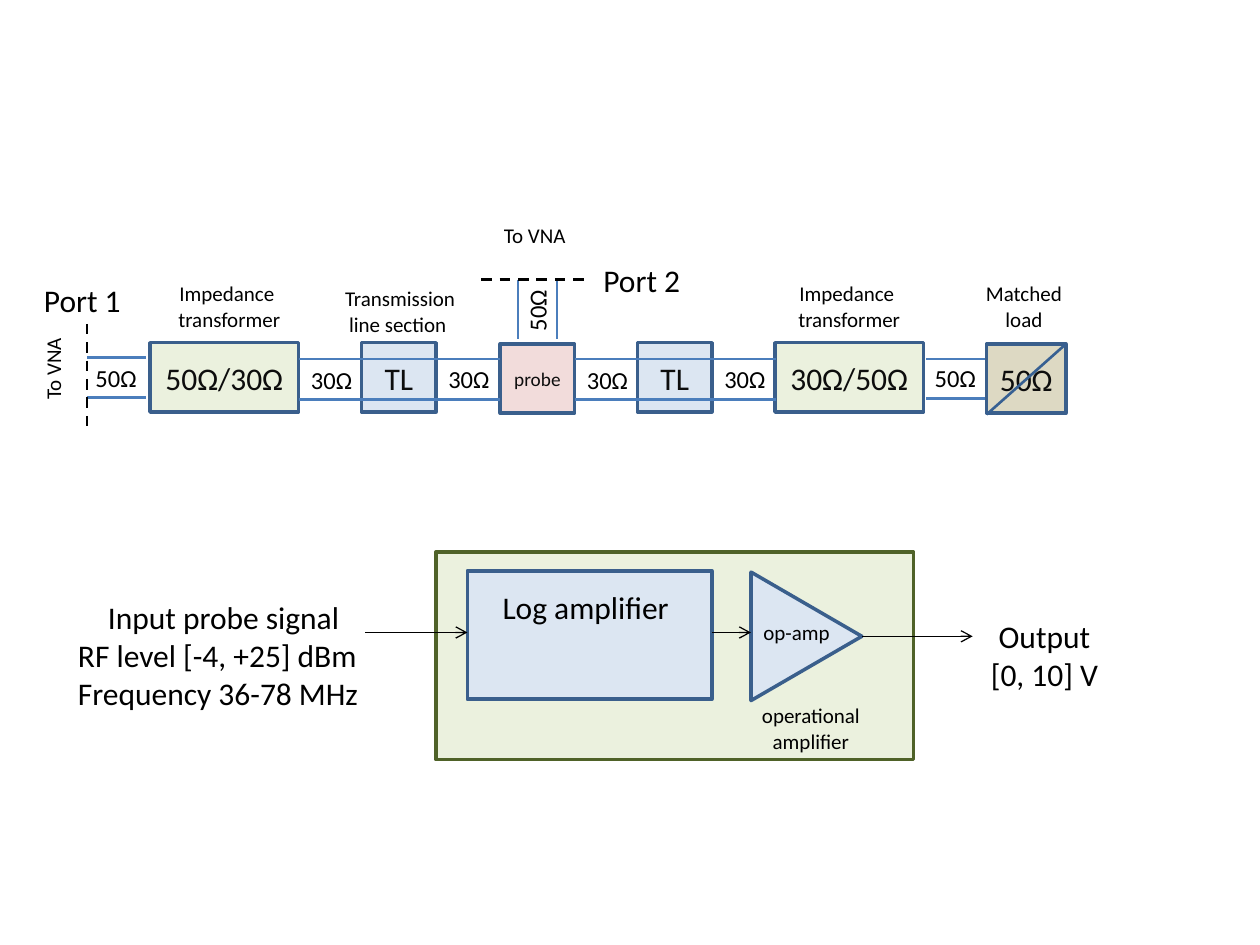
from copy import deepcopy

from pptx import Presentation
from pptx.dml.color import RGBColor
from pptx.enum.dml import MSO_LINE
from pptx.enum.shapes import MSO_CONNECTOR, MSO_SHAPE
from pptx.enum.text import MSO_ANCHOR, MSO_AUTO_SIZE, PP_ALIGN
from pptx.oxml.ns import qn
from pptx.util import Inches, Pt
from lxml.etree import SubElement

BLACK = RGBColor(0x00, 0x00, 0x00)
INK = RGBColor(0x0D, 0x0D, 0x0D)
GREEN = RGBColor(0xEB, 0xF1, 0xDE)
DARK_GREEN = RGBColor(0x4F, 0x62, 0x28)
BLUE = RGBColor(0xDC, 0xE6, 0xF2)
EDGE = RGBColor(0x3A, 0x5F, 0x8C)
WIRE = RGBColor(0x4B, 0x7E, 0xBC)
SLASH = RGBColor(0x37, 0x60, 0x92)
TAN = RGBColor(0xDD, 0xD9, 0xC3)
PINK = RGBColor(0xF2, 0xDC, 0xDB)

LEFT, CENTER = PP_ALIGN.LEFT, PP_ALIGN.CENTER
BOX_TOP, BOX_H = 2.72, 0.55
BOX_FRAME = {"vertical_anchor": MSO_ANCHOR.MIDDLE, "word_wrap": True}
LABEL_FRAME = {"auto_size": MSO_AUTO_SIZE.SHAPE_TO_FIT_TEXT, "word_wrap": False}


def set_all(obj, values):
    """Set every attribute named in values on obj."""
    for name, value in values.items():
        setattr(obj, name, value)


def write(tf, text, size, color, frame, aligns):
    """Fill a text frame; \\n parts paragraphs and \\v breaks a line."""
    set_all(tf, frame)
    for i, line in enumerate(text.split("\n")):
        p = tf.paragraphs[0] if i == 0 else tf.add_paragraph()
        p.text = line
        p.alignment = aligns[min(i, len(aligns) - 1)]
        for r in p.runs:
            set_all(r.font, {"name": "Calibri", "size": Pt(size)})
            r.font.color.rgb = color
        for br in p._p.findall(qn("a:br")):
            br.append(deepcopy(p.runs[0]._r.rPr))


def add_box(s, x, y, w, h, fill, text="", size=18, edge=EDGE,
            kind=MSO_SHAPE.RECTANGLE, rotation=0):
    """Add a filled, outlined shape with optional centred text."""
    sp = s.shapes.add_shape(kind, Inches(x), Inches(y), Inches(w), Inches(h))
    sp.shadow.inherit = False
    sp.rotation = rotation
    sp.fill.solid()
    sp.fill.fore_color.rgb = fill
    sp.line.color.rgb = edge
    sp.line.width = Pt(2)
    if text:
        write(sp.text_frame, text, size, INK, BOX_FRAME, [CENTER])


def add_label(s, x, y, w, h, text, size=12, aligns=(LEFT,), rotation=0):
    """Add an unwrapped text box."""
    sp = s.shapes.add_textbox(Inches(x), Inches(y), Inches(w), Inches(h))
    sp.rotation = rotation
    write(sp.text_frame, text, size, BLACK, LABEL_FRAME, aligns)


def add_line(s, x1, y1, x2, y2, color=WIRE, width=1.5, dash=None, arrow=False):
    """Add a straight line, dashed or with an arrowhead if asked."""
    sp = s.shapes.add_connector(MSO_CONNECTOR.STRAIGHT, Inches(x1), Inches(y1),
                                Inches(x2), Inches(y2))
    sp.line.color.rgb = color
    set_all(sp.line, {"width": Pt(width), "dash_style": dash})
    if arrow:
        SubElement(sp.line._get_or_add_ln(), qn("a:tailEnd"), type="arrow")
    SubElement(sp._element.spPr, qn("a:effectLst"))


def add_ohms(s, x, y, text, rotation=0):
    """Add an impedance label."""
    add_label(s, x, y, 0.53, 0.34, text, 14, rotation=rotation)


def add_stub(s, x, y):
    """Add a short horizontal 50 ohm line pair."""
    for dy in (0, 0.315):
        add_line(s, x, y + dy, x + 0.47, y + dy)
    add_ohms(s, x - 0.03, 2.83, "50Ω")


def add_tl_section(s, x):
    """Add a transmission line section with its 30 ohm line pairs."""
    add_ohms(s, x + 1.09, 2.84, "30Ω")
    add_box(s, x + 0.5, BOX_TOP, 0.59, BOX_H, BLUE, "TL")
    for y in (2.85, 3.17):
        add_line(s, x, y, x + 1.6, y)
    add_ohms(s, x, 2.85, "30Ω")


def add_measurement_chain(s):
    """Draw the upper chain from port 1 to the matched load."""
    for x, text in ((1.19, "50Ω/30Ω"), (6.15, "30Ω/50Ω")):
        add_box(s, x, BOX_TOP, 1.18, BOX_H, GREEN, text)
    add_box(s, 7.83, 2.73, 0.63, BOX_H, TAN, "50Ω")
    add_line(s, 8.46, 2.73, 7.83, 3.29, SLASH)
    add_stub(s, 7.35, 2.85)
    add_stub(s, 0.69, 2.84)
    add_box(s, 3.97, 2.73, 0.59, BOX_H, PINK, "probe", 11)
    for x in (4.11, 4.42):
        add_line(s, x, 2.69, x, 2.22)
    add_ohms(s, 4, 2.29, "50Ω", 270)
    add_line(s, 3.82, 2.22, 4.69, 2.22, BLACK, dash=MSO_LINE.DASH)
    add_line(s, 0.69, 2.57, 0.69, 3.44, BLACK, dash=MSO_LINE.DASH)
    for x, y, text in ((0.25, 2.18, "Port 1"), (4.69, 2.02, "Port 2")):
        add_label(s, x, y, 0.82, 0.4, text, 18)
    for x in (2.37, 4.56):
        add_tl_section(s, x)
    for x, y, w, text in ((1.31, 2.18, 1.02, "Impedance \vtransformer"),
                          (6.23, 2.18, 1.02, "Impedance \vtransformer"),
                          (7.72, 2.18, 0.85, "Matched \vload "),
                          (2.63, 2.22, 1.09, "Transmission\vline section ")):
        add_label(s, x, y, w, 0.5, text, aligns=[CENTER])
    for x, y, rotation in ((3.9, 1.72, 0), (0.07, 2.77, 270)):
        add_label(s, x, y, 0.7, 0.3, "To VNA", rotation=rotation)


def add_amplifier(s):
    """Draw the lower signal path through the two amplifiers."""
    add_label(s, 0.52, 4.7, 2.51, 1.01,
              "Input probe signal\nRF level [-4, +25] dBm\nFrequency 36-78 MHz ",
              18, [CENTER, LEFT])
    add_box(s, 3.46, 4.38, 3.79, 1.65, GREEN, edge=DARK_GREEN)
    add_label(s, 7.76, 4.85, 1.06, 0.71, "Output\n[0, 10] V", 18, [CENTER])
    add_label(s, 5.94, 5.53, 1.03, 0.5, "operational \namplifier\u00a0",
              aligns=[CENTER])
    add_box(s, 5.89, 4.61, 1.02, 0.88, BLUE,
            kind=MSO_SHAPE.ISOSCELES_TRIANGLE, rotation=90)
    add_box(s, 3.71, 4.53, 1.94, 1.02, BLUE)
    add_label(s, 3.89, 4.62, 1.54, 0.4, "Log amplifier", 18)
    add_label(s, 5.96, 4.87, 0.73, 0.3, "op-amp")
    for x1, x2, y in ((6.84, 7.72, 5.05), (2.9, 3.71, 5.02), (5.65, 5.96, 5.02)):
        add_line(s, x1, y, x2, y, BLACK, 0.75, arrow=True)


def main():
    """Build the slide and save it."""
    prs = Presentation()
    set_all(prs, {"slide_width": Inches(10), "slide_height": Inches(7.5)})
    s = prs.slides.add_slide(prs.slide_layouts[6])
    add_measurement_chain(s)
    add_amplifier(s)
    prs.save("out.pptx")


main()
